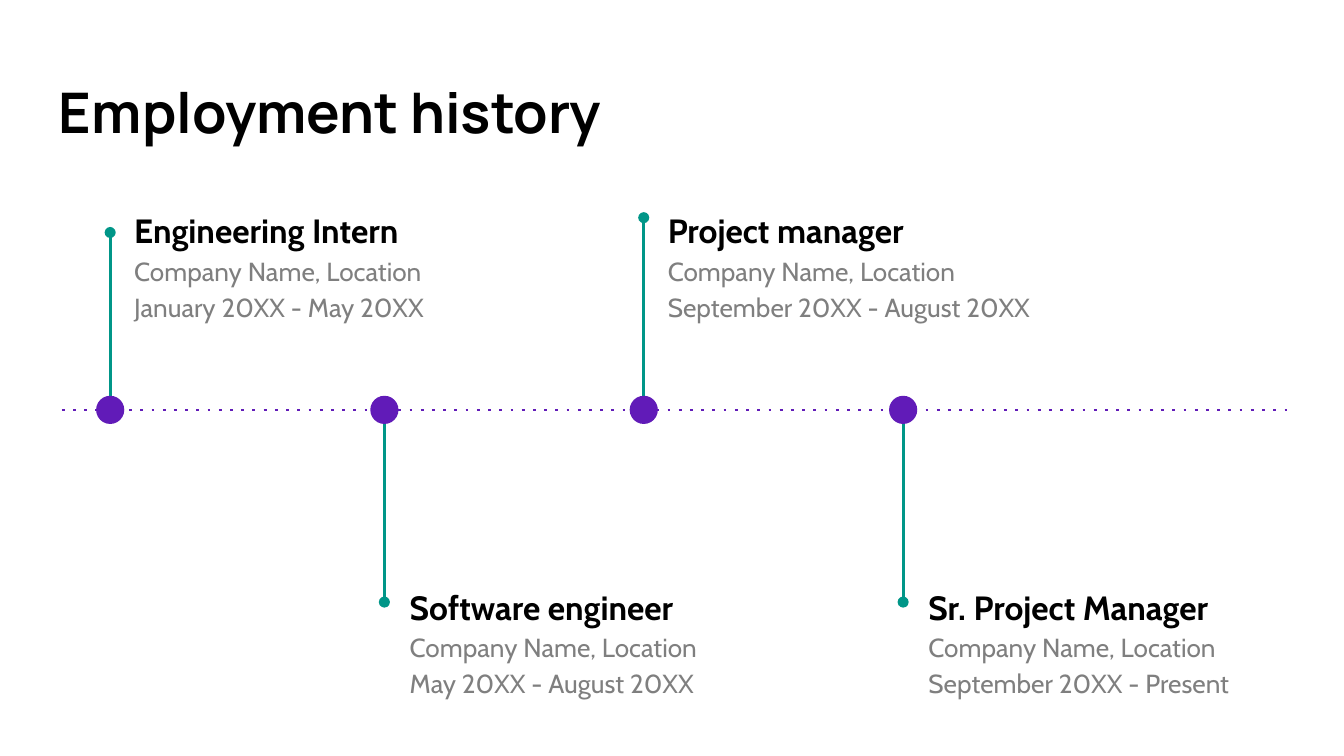
from lxml import etree
from pptx import Presentation
from pptx.dml.color import RGBColor
from pptx.enum.shapes import MSO_CONNECTOR, MSO_SHAPE
from pptx.enum.text import MSO_ANCHOR
from pptx.oxml.ns import qn
from pptx.util import Inches, Pt

STRAIGHT = MSO_CONNECTOR.STRAIGHT
OVAL = MSO_SHAPE.OVAL
TOP, MIDDLE = MSO_ANCHOR.TOP, MSO_ANCHOR.MIDDLE

BLACK, GRAY, PURPLE, TEAL = "000000", "7F7F7F", "611BB8", "009688"
AXIS_Y = 3.05
DOT_SIZE = 0.21
JOB_WIDTH, JOB_HEIGHT = 2.91, 1.06
# Job box: offset from the stem, top
ABOVE, BELOW = (0.08, 1.42), (0.09, 4.22)

# Milestone x, stem end y, job title, dates
JOBS = [
    (0.82, 1.73, "Engineering Intern", "January 20XX - May 20XX"),
    (2.86, 4.48, "Software engineer", "May 20XX - August 20XX"),
    (4.79, 1.62, "Project manager", "September 20XX - August 20XX"),
    (6.72, 4.48, "Sr. Project Manager", "September 20XX - Present"),
]


def color(hex_text):
    return RGBColor.from_string(hex_text)


def add_text(page, left, top, width, height, anchor=TOP):
    box = page.shapes.add_textbox(
        Inches(left), Inches(top), Inches(width), Inches(height))
    frame = box.text_frame
    frame.word_wrap = True
    frame.vertical_anchor = anchor
    frame.margin_left = frame.margin_right = Inches(0.1)
    frame.margin_top = frame.margin_bottom = Inches(0.1)
    return frame


def write(para, text, size=14, font="Cabin", fill=GRAY, bold=False, spacing=1.15):
    para.line_spacing = spacing
    span = para.add_run()
    span.text = text
    span.font.size = Pt(size)
    span.font.name = font
    span.font.bold = bold
    span.font.color.rgb = color(fill)


def add_line(shapes, start, end, stroke, dash=None, tail=None):
    line = shapes.add_connector(
        STRAIGHT, *(Inches(value) for value in (*start, *end)))
    line.line.width = Pt(1.5)
    line.line.color.rgb = color(stroke)
    outline = line._element.spPr.find(qn("a:ln"))
    if dash:
        etree.SubElement(outline, qn("a:prstDash"), val=dash)
    if tail:
        etree.SubElement(outline, qn("a:tailEnd"), type=tail, w="med", len="med")
    etree.SubElement(line._element.spPr, qn("a:effectLst"))


def add_milestone(page, x, stem_end):
    """Dot on the axis with a stem reaching up or down to its job."""
    group = page.shapes.add_group_shape()
    radius = DOT_SIZE / 2
    stem_start = AXIS_Y + (radius if stem_end > AXIS_Y else -radius)
    add_line(group.shapes, (x, stem_start), (x, stem_end), TEAL, tail="oval")
    dot = group.shapes.add_shape(
        OVAL, Inches(x - radius), Inches(AXIS_Y - radius),
        Inches(DOT_SIZE), Inches(DOT_SIZE))
    dot.shadow.inherit = False
    dot.fill.solid()
    dot.fill.fore_color.rgb = color(PURPLE)
    dot.line.fill.background()


def add_job(page, left, top, role, dates):
    frame = add_text(page, left, top, JOB_WIDTH, JOB_HEIGHT)
    write(frame.paragraphs[0], role, size=18, fill=BLACK, bold=True)
    for text in ("Company Name, Location", dates):
        write(frame.add_paragraph(), text)


def add_timeline(page, left, right):
    add_line(page.shapes, (left, AXIS_Y), (right, AXIS_Y), PURPLE, dash="dot")
    for x, stem_end, role, dates in JOBS:
        add_milestone(page, x, stem_end)
        offset, top = BELOW if stem_end > AXIS_Y else ABOVE
        add_job(page, x + offset, top, role, dates)


def main():
    deck = Presentation()
    deck.slide_width = Inches(10)
    deck.slide_height = deck.slide_width * 9 // 16
    page = deck.slides.add_slide(deck.slide_layouts[6])

    # Title
    title = add_text(page, 0.34, 0.49, 9.32, 0.68, anchor=MIDDLE)
    write(title.paragraphs[0], "Employment history", size=30, font="Manrope",
          fill=BLACK, bold=True, spacing=1.0)

    # Timeline
    add_timeline(page, 0.46, 9.58)
    deck.save("out.pptx")


if __name__ == "__main__":
    main()
